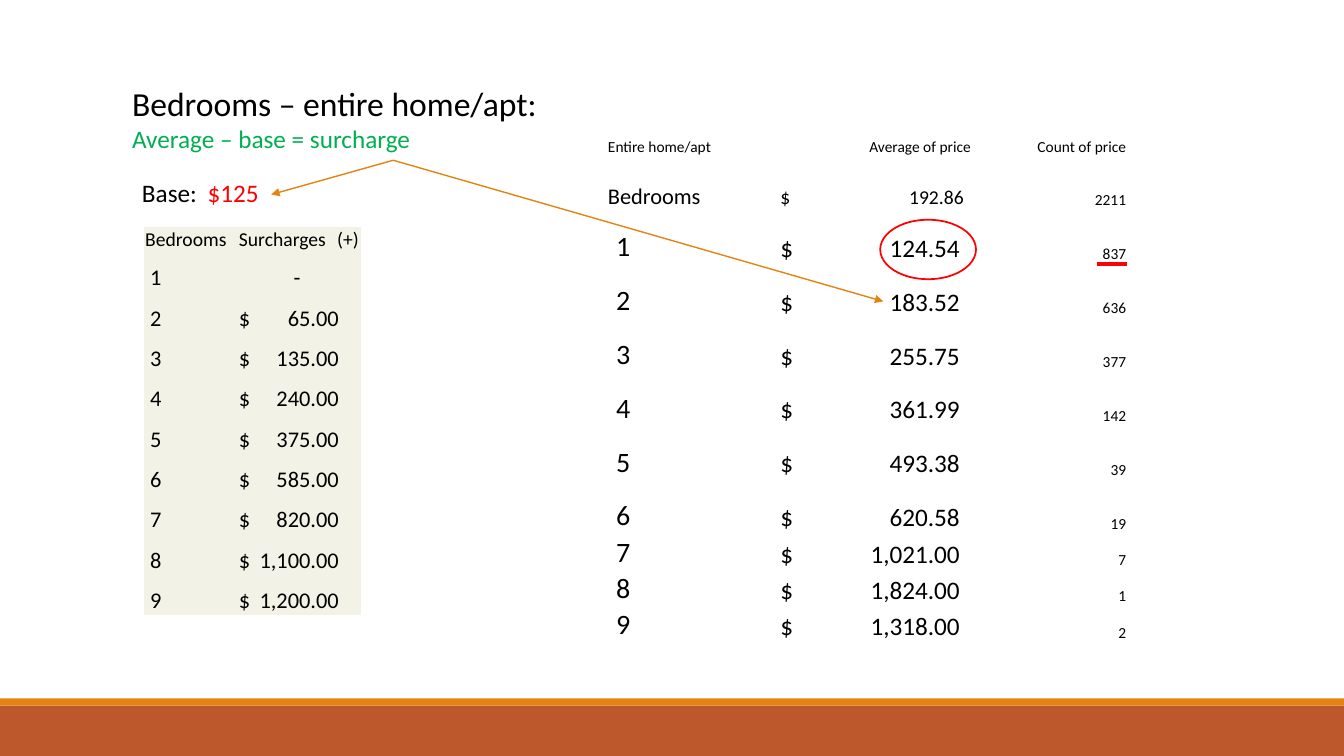
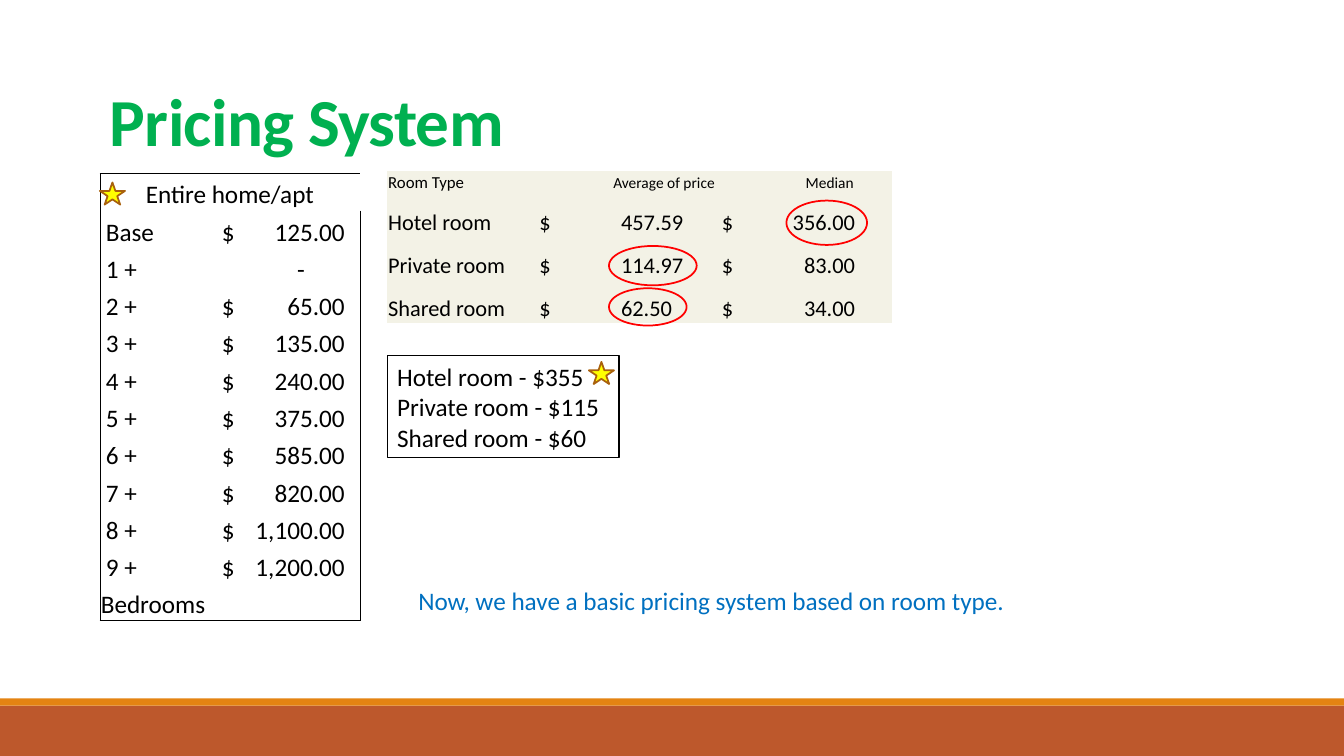
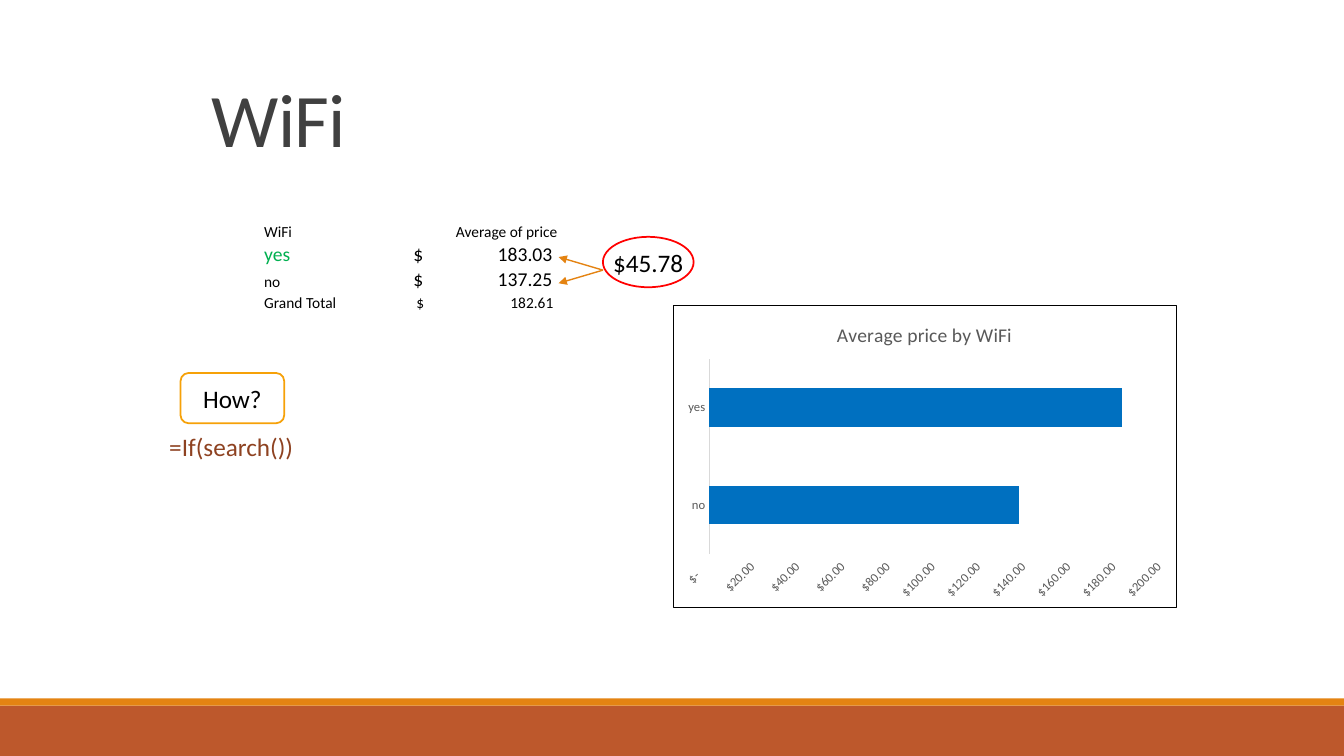
from dataclasses import dataclass, replace

from lxml.etree import SubElement
from pptx import Presentation
from pptx.chart.data import CategoryChartData
from pptx.dml.color import RGBColor
from pptx.enum.chart import XL_CHART_TYPE, XL_TICK_MARK
from pptx.enum.shapes import MSO_CONNECTOR, MSO_SHAPE
from pptx.enum.text import MSO_ANCHOR, MSO_AUTO_SIZE, PP_ALIGN
from pptx.oxml import parse_xml
from pptx.oxml.ns import nsdecls, qn
from pptx.util import Inches, Pt

FONT = "Calibri"
BLACK, RED, GREEN, BLUE = "000000", "FF0000", "00B050", "0070C0"
ORANGE, RUST, GREY, CREAM = "E48312", "BD582C", "595959", "F3F2E6"
YELLOW, BRONZE, AMBER, BROWN = "FFFF00", "A9610D", "F6A108", "8E4221"
NO_TABLE_STYLE = "{2D5ABB26-0587-4C30-8999-92F81FD0307C}"
MONEY_FORMAT = '_("$"* #,##0.00_);_("$"* \\(#,##0.00\\);_("$"* "-"??_);_(@_)'

BANDS = [((0, 7, 13.33, 0.5), RUST), ((0, 6.93, 13.33, 0.07), ORANGE)]

SURCHARGES = ["-", "65.00", "135.00", "240.00", "375.00", "585.00", "820.00",
              "1,100.00", "1,200.00"]
BEDROOM_PRICES = [
    ("124.54", "837"), ("183.52", "636"), ("255.75", "377"), ("361.99", "142"),
    ("493.38", "39"), ("620.58", "19"), ("1,021.00", "7"), ("1,824.00", "1"),
    ("1,318.00", "2"),
]
ROOM_PRICES = [
    ("Hotel room", "457.59", "356.00"),
    ("Private room", "114.97", "83.00"),
    ("Shared room", "62.50", "34.00"),
]
ROOM_RATES = ["Hotel room - $355", "Private room - $115", "Shared room - $60"]
WIFI_PRICES = [("yes", "183.03"), ("no", "137.25"), ("Grand Total", "182.61")]
CHART_VALUES = {"no": 137, "yes": 183}


@dataclass(frozen=True)
class Style:
    size: float
    left: float = 0.01
    align: PP_ALIGN = PP_ALIGN.LEFT
    tab: float = 0
    tab_align: str = "r"
    color: str = BLACK


def rgb(value):
    return RGBColor.from_string(value)


def inches(values):
    return [Inches(value) for value in values]


def money(amount):
    return amount if amount == "-" else f"$\t{amount}"


def set_font(font, size, color, bold=False):
    font.name = FONT
    font.size = Pt(size)
    font.bold = bold
    font.color.rgb = rgb(color)


def set_tab(paragraph, position, align="l"):
    tabs = SubElement(paragraph._p.get_or_add_pPr(), qn("a:tabLst"))
    SubElement(tabs, qn("a:tab"), pos=str(Inches(position)), algn=align)


def add_shape(slide, kind, box, line=None, width=1.25, fill=None, lines=(),
              align=PP_ALIGN.CENTER):
    shape = slide.shapes.add_shape(kind, *inches(box))
    shape.shadow.inherit = False
    if fill:
        shape.fill.solid()
        shape.fill.fore_color.rgb = rgb(fill)
    else:
        shape.fill.background()
    if line:
        shape.line.color.rgb = rgb(line)
        shape.line.width = Pt(width)
    else:
        shape.line.fill.background()
    if lines:
        frame = shape.text_frame
        frame.word_wrap = False
        frame.text = "\n".join(lines)
        for paragraph in frame.paragraphs:
            paragraph.alignment = align
            set_font(paragraph.font, 18, BLACK)
    return shape


def add_text(slide, box, runs, tab=0):
    frame = slide.shapes.add_textbox(*inches(box)).text_frame
    frame.word_wrap = bool(tab)
    paragraph = frame.paragraphs[0]
    if tab:
        set_tab(paragraph, tab)
    set_font(paragraph.font, 18, runs[0][1])
    for text, color in runs:
        run = paragraph.add_run()
        run.text = text
        run.font.color.rgb = rgb(color)


def add_line(slide, start, end, color=ORANGE, width=1, arrow=True):
    line = slide.shapes.add_connector(MSO_CONNECTOR.STRAIGHT, *inches(start + end))
    line.line.color.rgb = rgb(color)
    line.line.width = Pt(width)
    if arrow:
        SubElement(line.line._get_or_add_ln(), qn("a:tailEnd"), type="triangle")
    SubElement(line.element.spPr, qn("a:effectLst"))


def set_title(slide, box, lines, anchor=MSO_ANCHOR.TOP, spacing=1.0, tracking=0):
    title = slide.shapes.title
    title.left, title.top, title.width, title.height = inches(box)
    frame = title.text_frame
    frame.text = "\n".join(text for text, *_ in lines)
    frame.word_wrap = True
    frame.auto_size = MSO_AUTO_SIZE.NONE
    frame.vertical_anchor = anchor
    for paragraph, (_, size, color, bold) in zip(frame.paragraphs, lines):
        paragraph.alignment = PP_ALIGN.LEFT
        paragraph.line_spacing = spacing
        set_font(paragraph.font, size, color, bold)
        if tracking:
            paragraph.runs[0]._r.get_or_add_rPr().set("spc", str(tracking))


def set_borders(cell, sides):
    properties = cell._tc.get_or_add_tcPr()
    for side in "LRTB":
        if side in sides:
            line = SubElement(properties, qn(f"a:ln{side}"), w=str(Pt(0.25)))
            fill = SubElement(line, qn("a:solidFill"))
            SubElement(fill, qn("a:srgbClr"), val=BLACK)


def fill_cell(cell, text, style, fill):
    cell.margin_left, cell.margin_top, cell.margin_right, cell.margin_bottom = inches(
        (style.left, 0.01, 0.01, 0))
    cell.vertical_anchor = MSO_ANCHOR.BOTTOM
    if fill:
        cell.fill.solid()
        cell.fill.fore_color.rgb = rgb(fill)
    else:
        cell.fill.background()
    if text:
        paragraph = cell.text_frame.paragraphs[0]
        paragraph.text = text
        paragraph.alignment = style.align
        if "\t" in text:
            set_tab(paragraph, style.tab, style.tab_align)
        set_font(paragraph.font, style.size, style.color)


def add_table(slide, origin, widths, heights, rows, styles, special, fill=None,
              framed=False):
    box = (*origin, sum(widths), sum(heights))
    frame = slide.shapes.add_table(len(rows), len(widths), *inches(box))
    table = frame.table
    table.first_row = table.horz_banding = False
    next(frame.element.iter(qn("a:tableStyleId"))).text = NO_TABLE_STYLE
    for column, width in zip(table.columns, widths):
        column.width = Inches(width)
    for row, height in zip(table.rows, heights):
        row.height = Inches(height)
    last_row, last_column = len(rows) - 1, len(widths) - 1
    for i, row in enumerate(rows):
        for j, text in enumerate(row):
            cell = table.cell(i, j)
            if framed:
                edges = {"L": j == 0, "R": j == last_column,
                         "T": i == 0, "B": i == last_row}
                set_borders(cell, [side for side, outer in edges.items() if outer])
            fill_cell(cell, text, special.get((i, j), styles[j]), fill)
    return table


def add_price_chart(slide):
    data = CategoryChartData(number_format=MONEY_FORMAT)
    data.categories = list(CHART_VALUES)
    data.add_series("Average price", list(CHART_VALUES.values()))
    chart = slide.shapes.add_chart(
        XL_CHART_TYPE.BAR_STACKED, *inches((6.67, 3.03, 5, 3)), data).chart
    set_font(chart.font, 10, BLACK)
    chart.has_legend = False
    chart.has_title = True
    title = chart.chart_title
    title.include_in_layout = False
    title.text_frame.text = "Average price by WiFi"
    set_font(title.text_frame.paragraphs[0].font, 14, GREY)
    plot = chart.plots[0]
    plot.gap_width, plot.overlap, plot.vary_by_categories = 150, 100, False
    bars = plot.series[0].format.fill
    bars.solid()
    bars.fore_color.rgb = rgb(BLUE)
    for axis in (chart.category_axis, chart.value_axis):
        axis.has_major_gridlines = False
        axis.major_tick_mark = axis.minor_tick_mark = XL_TICK_MARK.NONE
        set_font(axis.tick_labels.font, 9, GREY)
    chart.category_axis.format.line.color.rgb = rgb("D9D9D9")
    chart.category_axis.format.line.width = Pt(0.75)
    values = chart.value_axis
    values.format.line.fill.background()
    values.minimum_scale, values.maximum_scale, values.major_unit = 0, 200, 20
    values.tick_labels.number_format = MONEY_FORMAT
    values.tick_labels.number_format_is_linked = False
    next(values._element.iter(qn("a:bodyPr"))).set("rot", "-2700000")
    border = parse_xml(
        f'<c:spPr {nsdecls("c", "a")}><a:noFill/><a:ln w="{Pt(0.75)}"><a:solidFill>'
        f'<a:srgbClr val="{BLACK}"/></a:solidFill></a:ln></c:spPr>')
    chart.element.find(qn("c:txPr")).addprevious(border)


def build_bedrooms(slide):
    set_title(slide, (1.21, 0.77, 4.74, 0.81), [
        ("Bedrooms – entire home/apt:", 24, BLACK, False),
        ("Average – base = surcharge", 18, GREEN, False)])

    price = Style(18, left=0.06, tab=1.78)
    count = Style(11, align=PP_ALIGN.RIGHT)
    rows = [("Entire home/apt", "Average of price", "Count of price"),
            ("Bedrooms", money("192.86"), "2211")]
    rows += [(str(number), money(average), listings)
             for number, (average, listings) in enumerate(BEDROOM_PRICES, 1)]
    add_table(slide, (6.02, 1.25), (1.66, 1.96, 1.54),
              [0.3] + [0.535] * 7 + [0.36] * 3, rows,
              (Style(20, left=0.09), price, count),
              {(0, 0): Style(11), (0, 1): count, (1, 0): Style(16),
               (1, 1): replace(price, size=14, tab=1.82)})

    surcharge = Style(16, left=0.06, tab=0.99)
    rows = [("Bedrooms", "Surcharges\t(+)")]
    rows += [(str(number), money(amount)) for number, amount in enumerate(SURCHARGES, 1)]
    add_table(slide, (1.43, 2.25), (0.88, 1.27), [0.23] + [0.4] * 9, rows,
              (Style(16, left=0.06), surcharge),
              {(0, 0): Style(14), (0, 1): replace(surcharge, size=14, tab=1.19),
               (1, 1): Style(16, align=PP_ALIGN.CENTER)}, CREAM)

    add_text(slide, (1.31, 1.71, 1.38, 0.4), [("Base:\t", BLACK), ("$125", RED)], tab=0.65)
    add_shape(slide, MSO_SHAPE.OVAL, (8.73, 2.18, 0.95, 0.59), RED)
    for target in ((8.76, 2.99), (2.69, 1.93)):
        add_line(slide, (3.9, 1.59), target)
    add_line(slide, (10.88, 2.62), (11.18, 2.62), RED, 2.25, arrow=False)


def build_pricing(slide):
    set_title(slide, (0.99, 0.32, 11, 1.32), [("Pricing System", 48, GREEN, True)],
              MSO_ANCHOR.BOTTOM, 0.85, -50)

    label = Style(18, left=0.06)
    rows = [("Entire home/apt", ""), ("Base", money("125.00"))]
    rows += [(f"{number} +", money(amount)) for number, amount in enumerate(SURCHARGES, 1)]
    rows.append(("Bedrooms", ""))
    table = add_table(slide, (0.99, 1.72), (1.07, 1.51), [0.37] * 12, rows,
                      (label, Style(18, left=0.14, tab=1.22)),
                      {(0, 0): Style(18, align=PP_ALIGN.CENTER),
                       (2, 1): Style(18, left=0.35, align=PP_ALIGN.CENTER),
                       (11, 0): Style(18)}, framed=True)
    table.cell(0, 0).merge(table.cell(0, 1))

    rows = [("Room Type", "Average of price", "Median")]
    rows += [(room, money(average), money(median)) for room, average, median in ROOM_PRICES]
    add_table(slide, (3.84, 1.7), (1.45, 1.81, 1.75), [0.21] + [0.43] * 3, rows,
              (Style(16), Style(16, left=0.06, tab=0.81, tab_align="l"),
               Style(16, left=0.06, tab=1.32)),
              {(0, 0): Style(12), (0, 1): Style(11, align=PP_ALIGN.RIGHT),
               (0, 2): Style(11, left=0.52, align=PP_ALIGN.CENTER)}, CREAM)

    for box in ((7.8, 1.99, 0.8, 0.44), (6.04, 2.86, 0.77, 0.37), (6.04, 2.44, 0.87, 0.39)):
        add_shape(slide, MSO_SHAPE.OVAL, box, RED)
    add_shape(slide, MSO_SHAPE.RECTANGLE, (3.84, 3.53, 2.3, 1.01), BLACK, 0.75,
              lines=ROOM_RATES, align=PP_ALIGN.LEFT).text_frame.word_wrap = True
    for left, top in ((5.84, 3.59), (0.99, 1.81)):
        add_shape(slide, MSO_SHAPE.STAR_5_POINT, (left, top, 0.25, 0.22), BRONZE, fill=YELLOW)
    add_text(slide, (4.05, 5.76, 6.08, 0.4),
             [("Now, we have a basic pricing system based on room type.", BLUE)])


def build_wifi(slide):
    set_title(slide, (2, 0.66, 1.58, 1.01), [("WiFi", 54, "404040", False)], tracking=-50)

    price = Style(14, left=0.15, tab=1.38)
    rows = [("WiFi", "Average of price")]
    rows += [(answer, money(average)) for answer, average in WIFI_PRICES]
    add_table(slide, (2.61, 2.19), (1.34, 1.59), [0.21] * 4, rows, (Style(11), price),
              {(0, 1): Style(11, align=PP_ALIGN.RIGHT), (1, 0): Style(14, color=GREEN),
               (3, 1): replace(price, size=11, left=0.18, tab=1.36)})

    for height in (2.55, 2.81):
        add_line(slide, (5.98, 2.68), (5.54, height))
    add_price_chart(slide)
    add_shape(slide, MSO_SHAPE.OVAL, (5.98, 2.35, 0.9, 0.5), RED, lines=["$45.78"])
    add_text(slide, (1.58, 4.23, 1.45, 0.4), [("=If(search())", BROWN)])
    add_shape(slide, MSO_SHAPE.ROUNDED_RECTANGLE, (1.79, 3.7, 1.03, 0.5), AMBER,
              lines=["How?"])


def main():
    presentation = Presentation()
    presentation.slide_width, presentation.slide_height = inches((13.33, 7.5))
    layout = presentation.slide_layouts[5]
    slides = [presentation.slides.add_slide(layout) for _ in range(3)]
    for box, color in BANDS:
        band = add_shape(slides[0], MSO_SHAPE.RECTANGLE, box, fill=color)
        presentation.slide_master.shapes.element.append(band.element)
    for build, slide in zip((build_bedrooms, build_pricing, build_wifi), slides):
        build(slide)
    presentation.save("out.pptx")


if __name__ == "__main__":
    main()
